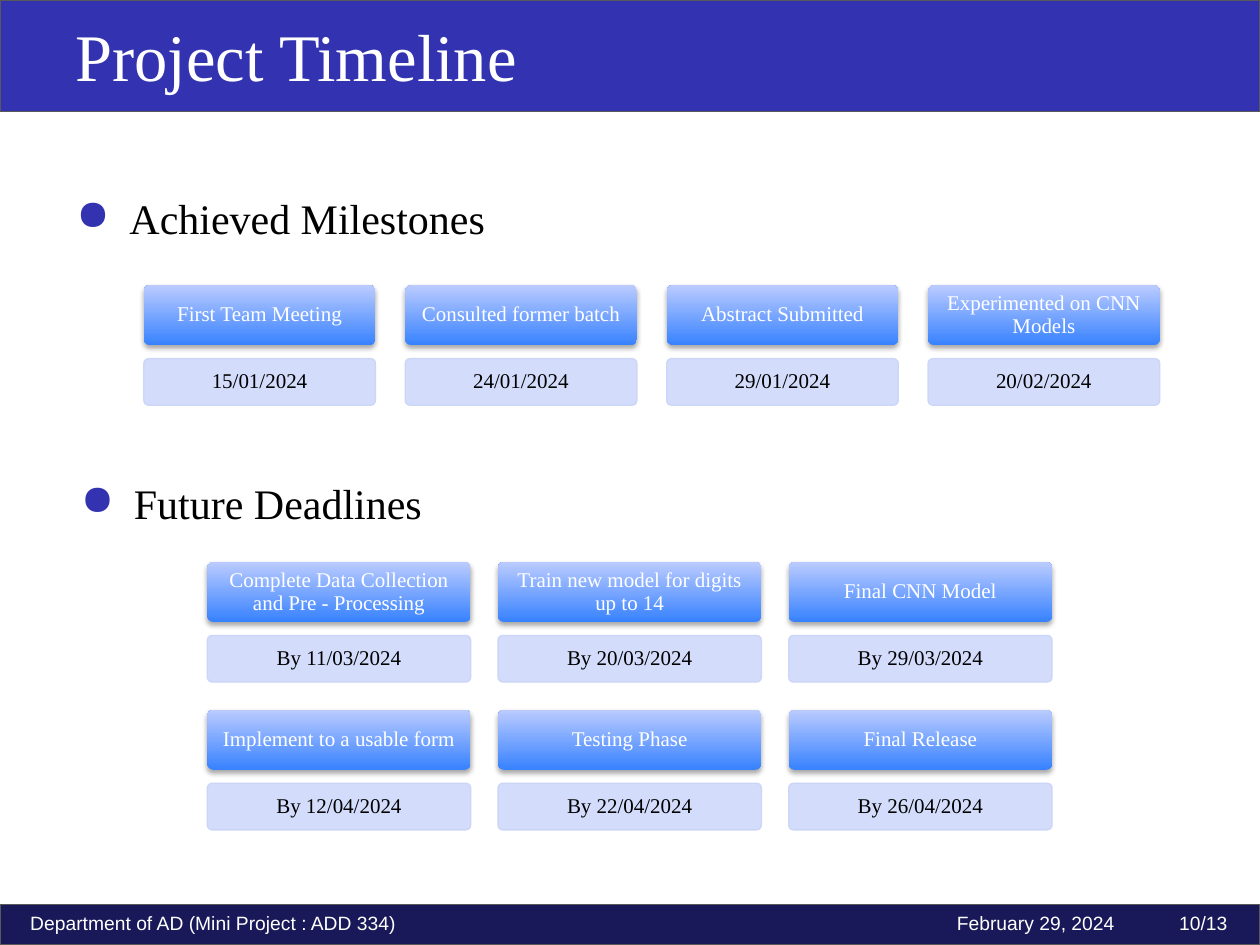
"""Build the project timeline slide."""
import dataclasses

import lxml.etree
import pptx
import pptx.dml.color
import pptx.enum.shapes
import pptx.enum.text
import pptx.oxml.ns
import pptx.util

Cm, Pt = pptx.util.Cm, pptx.util.Pt
SHAPE = pptx.enum.shapes.MSO_SHAPE
ALIGN = pptx.enum.text.PP_ALIGN
ANCHOR = pptx.enum.text.MSO_ANCHOR
qn = pptx.oxml.ns.qn


@dataclasses.dataclass(frozen=True)
class Theme:
    serif: str = "Times New Roman"
    sans: str = "Arial"
    title: float = 38
    heading: float = 24
    card: float = 12
    footer: float = 11
    white: str = "FFFFFF"
    black: str = "000000"
    accent: str = "3333B2"
    navy: str = "191959"
    edge: str = "595959"
    card_bottom: str = "3782FF"
    card_top: str = "BBCBFF"
    date_fill: str = "CFD9FB"
    date_line: str = "C9D4F7"


T = Theme()

TITLE = "Project Timeline"
DEPARTMENT = "Department of AD (Mini Project : ADD 334)"
DATE_AND_PAGE = "February 29, 2024\t10/13"

SECTIONS = [
    {
        "heading": "Achieved Milestones",
        "heading_at": (1.09, 3.63, 9.27, 1.55),
        "grid": {"left": 2.9, "top": 5.75, "width": 4.67, "pitch": 5.27, "columns": 4},
        "steps": [
            ("First Team Meeting", "15/01/2024"),
            ("Consulted former batch", "24/01/2024"),
            ("Abstract Submitted", "29/01/2024"),
            ("Experimented on CNN Models", "20/02/2024"),
        ],
    },
    {
        "heading": "Future Deadlines",
        "heading_at": (1.18, 9.37, 7.92, 1.55),
        "grid": {"left": 4.18, "top": 11.33, "width": 5.31, "pitch": 5.86, "columns": 3},
        "steps": [
            ("Complete Data Collection and Pre - Processing", "By 11/03/2024"),
            ("Train new model for digits up to 14", "By 20/03/2024"),
            ("Final CNN Model", "By 29/03/2024"),
            ("Implement to a usable form", "By 12/04/2024"),
            ("Testing Phase", "By 22/04/2024"),
            ("Final Release", "By 26/04/2024"),
        ],
    },
]
CARD_HEIGHT, DATE_HEIGHT, DATE_OFFSET, ROW_PITCH = 1.21, 0.94, 1.48, 2.98


def rgb(color):
    """Turn a hex string into a colour."""
    return pptx.dml.color.RGBColor.from_string(color)


def sub(parent, tag, **attrs):
    """Append a child element with the given attributes."""
    return lxml.etree.SubElement(parent, qn(tag), {k: str(v) for k, v in attrs.items()})


def style(p, size, color, font=T.serif, align=ALIGN.LEFT):
    """Set the font and alignment of a paragraph."""
    p.alignment = align
    p.font.size, p.font.name = Pt(size), font
    p.font.color.rgb = rgb(color)


def add_shape(s, kind, at, fill=None, line=None):
    """Add a preset shape with a plain fill and line."""
    sp = s.shapes.add_shape(kind, *map(Cm, at))
    sp.shadow.inherit = False
    if fill:
        sp.fill.solid()
        sp.fill.fore_color.rgb = rgb(fill)
    if line:
        sp.line.color.rgb = rgb(line)
        sp.line.width = Pt(0.75)
    else:
        sp.line.fill.background()
    return sp


def add_text(s, at, text):
    """Add a wrapping text box and return its paragraph."""
    tf = s.shapes.add_textbox(*map(Cm, at)).text_frame
    tf.word_wrap = True
    tf.margin_left = tf.margin_right = tf.margin_top = tf.margin_bottom = Pt(7.2)
    p = tf.paragraphs[0]
    p.text = text
    return p


def add_heading(s, at, text):
    """Add a bulleted section heading."""
    p = add_text(s, at, text)
    pPr = p._p.get_or_add_pPr()
    pPr.set("marL", str(Cm(1.27)))
    pPr.set("indent", str(Cm(-1.07)))
    sub(sub(pPr, "a:buClr"), "a:srgbClr", val=T.accent)
    sub(pPr, "a:buChar", char="●")
    style(p, T.heading, T.black, align=ALIGN.JUSTIFY)


def add_box(s, at, text, color, **look):
    """Add a rounded box with centred text."""
    sp = add_shape(s, SHAPE.ROUNDED_RECTANGLE, at, **look)
    sp.adjustments[0] = 0.1
    tf = sp.text_frame
    tf.word_wrap = True
    tf.vertical_anchor = ANCHOR.MIDDLE
    p = tf.paragraphs[0]
    p.text = text
    p.line_spacing = 0.9
    style(p, T.card, color, align=ALIGN.CENTER)
    return sp


def add_step(s, left, top, width, name, date):
    """Add a gradient card with its date below."""
    card = add_box(s, (left, top, width, CARD_HEIGHT), name, T.white)
    card.fill.gradient()
    card.fill.gradient_angle = 90
    for stop, color in zip(card.fill.gradient_stops, (T.card_bottom, T.card_top)):
        stop.color.rgb = rgb(color)
    effects = card._element.spPr.find(qn("a:effectLst"))
    shadow = sub(effects, "a:outerShdw", blurRad=Pt(3.1), dist=Pt(1.8),
                 dir=5400000, rotWithShape=0)
    sub(sub(shadow, "a:srgbClr", val=T.black), "a:alpha", val=35000)

    box = add_box(s, (left, top + DATE_OFFSET, width, DATE_HEIGHT), date, T.black,
                  fill=T.date_fill, line=T.date_line)
    for color in box._element.spPr.iter(qn("a:srgbClr")):
        sub(color, "a:alpha", val=90000)


def main():
    """Assemble and save the slide."""
    prs = pptx.Presentation()
    prs.slide_width, prs.slide_height = Cm(25.4), Cm(19.05)
    s = prs.slides.add_slide(prs.slide_layouts[6])

    add_shape(s, SHAPE.RECTANGLE, (0, 0, 25.4, 2.25), T.accent, T.edge)
    style(add_text(s, (1.27, 0.05, 11.02, 2.13), TITLE), T.title, T.white)

    for section in SECTIONS:
        add_heading(s, section["heading_at"], section["heading"])
        grid = section["grid"]
        for i, (name, date) in enumerate(section["steps"]):
            row, column = divmod(i, grid["columns"])
            add_step(s, grid["left"] + column * grid["pitch"],
                     grid["top"] + row * ROW_PITCH, grid["width"], name, date)

    add_shape(s, SHAPE.RECTANGLE, (0, 18.24, 25.4, 0.81), T.navy, T.edge)
    style(add_text(s, (0.36, 18.14, 11.53, 0.99), DEPARTMENT), T.footer, T.white, T.sans)
    p = add_text(s, (19.04, 18.14, 6.36, 0.99), DATE_AND_PAGE)
    tabs = sub(p._p.get_or_add_pPr(), "a:tabLst")
    sub(tabs, "a:tab", pos=Cm(4.48), algn="l")
    style(p, T.footer, T.white, T.sans)

    prs.save("out.pptx")


if __name__ == "__main__":
    main()
